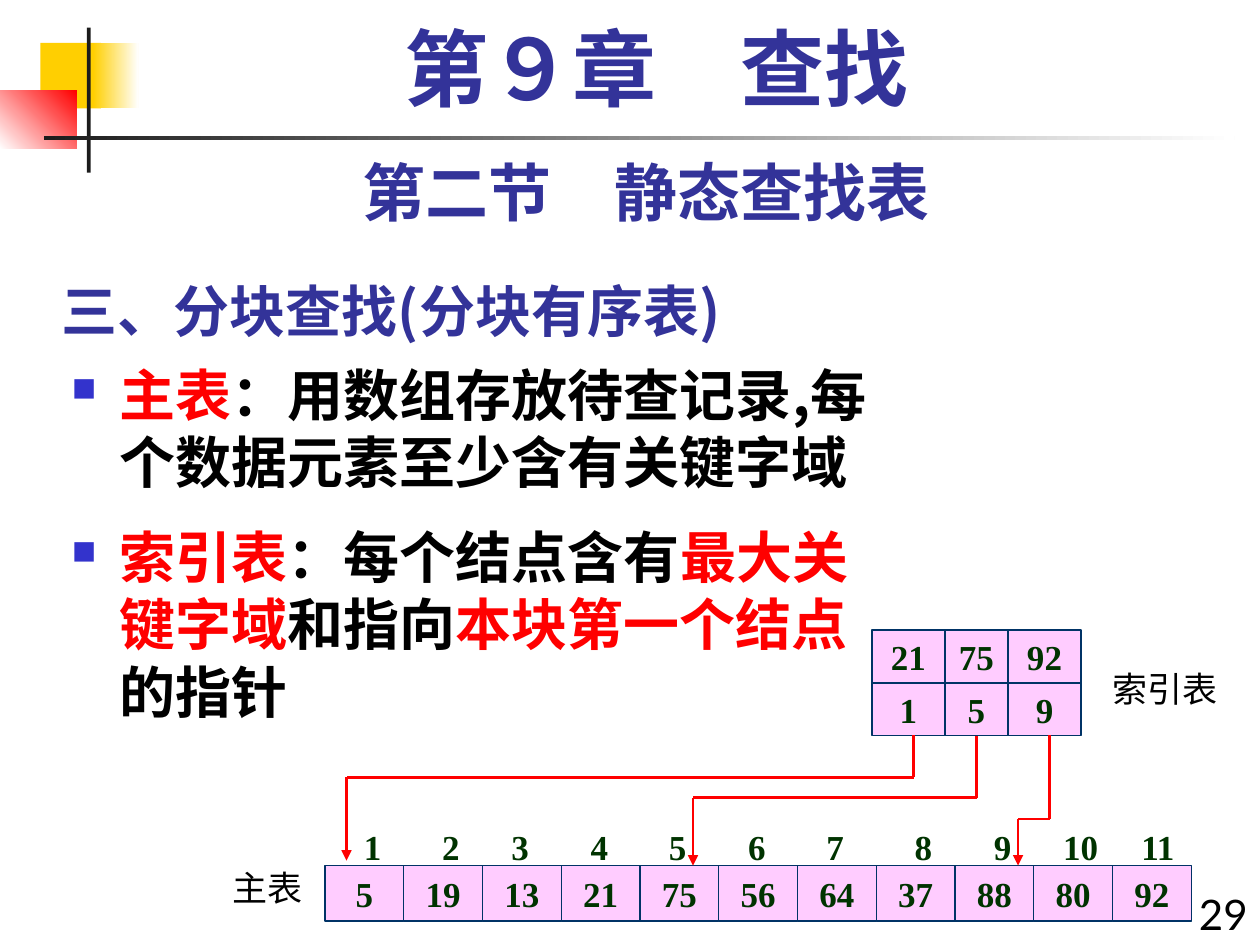
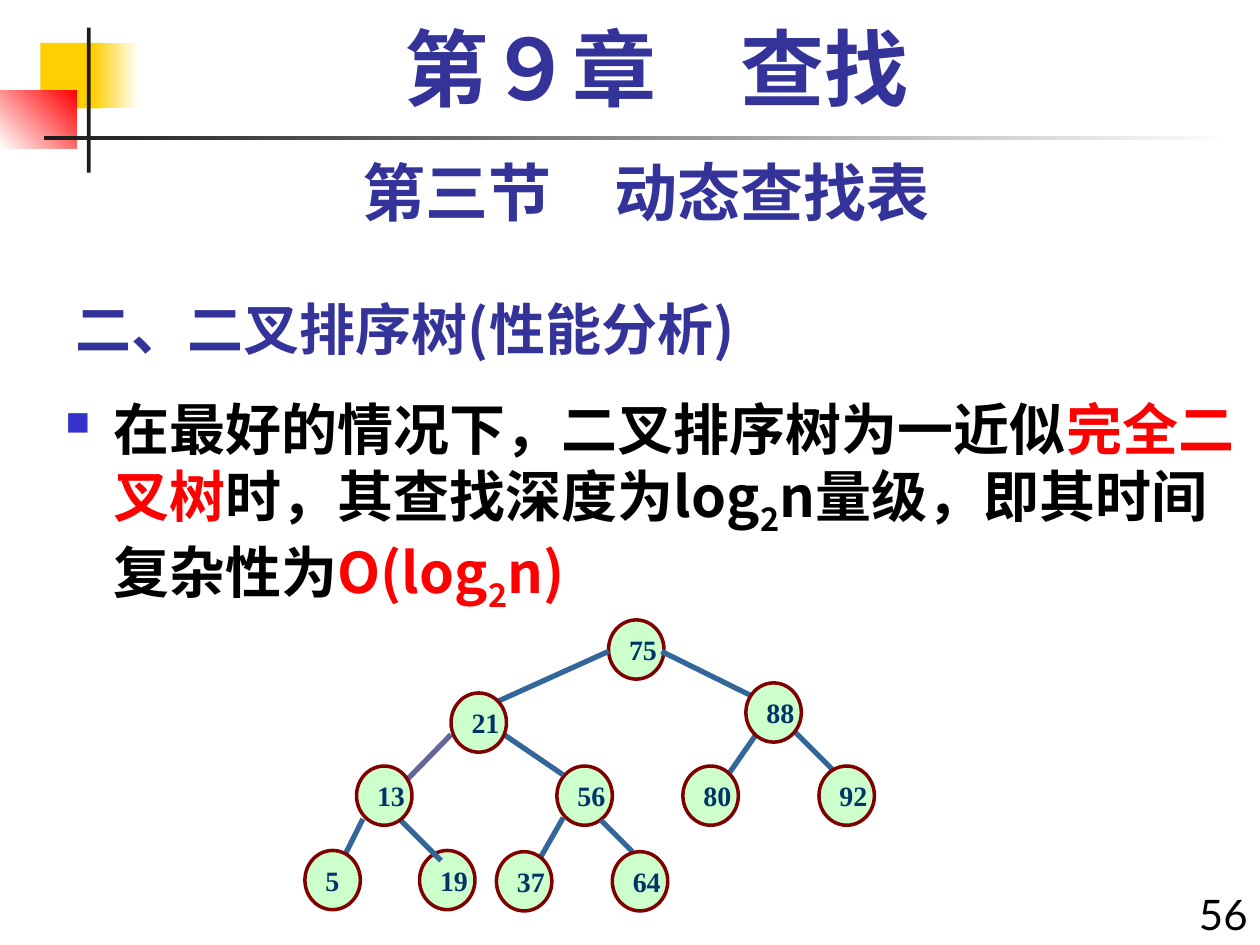
from lxml import etree
from pptx import Presentation, util as u
from pptx.dml.color import RGBColor
from pptx.enum import shapes, text
from pptx.oxml.ns import qn

COLORS = {
    "yellow": "FFCF01", "white": "FFFFFF", "red": "FF0000", "ink": "1C1C1C",
    "heading": "333399", "black": "000000", "bullet": "3333CC",
    "cell": "FFCCFF", "cell_line": "003366", "cell_text": "003300",
    "node": "CCFFCC", "node_line": "800000", "node_text": "003366",
    "branch": "336699", "branch_alt": "666699",
}
HEAVY, PLAIN, SERIF = "Noto Sans CJK SC", "Lato", "Times New Roman"
LEFT, CENTER, RIGHT = text.PP_ALIGN.LEFT, text.PP_ALIGN.CENTER, text.PP_ALIGN.RIGHT
RECT, OVAL = shapes.MSO_SHAPE.RECTANGLE, shapes.MSO_SHAPE.OVAL
TOP, MIDDLE, BOTTOM = text.MSO_ANCHOR.TOP, text.MSO_ANCHOR.MIDDLE, text.MSO_ANCHOR.BOTTOM


def rgb(name):
    return RGBColor.from_string(COLORS[name])


def add_xml(parent, tag, **attributes):
    return etree.SubElement(parent, qn(tag), **attributes)


class Lecture:
    """Slide style plus the page being drawn."""

    def __init__(self):
        self.deck = Presentation()
        self.deck.slide_width, self.deck.slide_height = u.Inches(10), u.Inches(7.5)
        self.page = None

    def new_page(self, section, heading, heading_at, number):
        self.page = self.deck.slides.add_slide(self.deck.slide_layouts[6])
        # Corner ornament and rule
        self.shape((0.32, 0.34, 0.48, 0.52), "yellow")
        self.gradient((0.74, 0.34, 0.36, 0.52), "yellow", "white")
        self.gradient((0, 0.72, 0.61, 0.46), "white", "red", 45)
        self.shape((0.69, 0.22, 0.03, 1.15), "ink")
        self.gradient((0.35, 1.08, 9.45, 0.03), "ink", "white")
        # Chapter, section, heading and page number
        self.text((*heading_at, 6.25, 0.75), heading, 32, HEAVY, "heading",
                  bold=True, anchor=BOTTOM)
        self.text((9.33, 7, 0.67, 0.5), number, 24, PLAIN, "black", RIGHT)
        self.text((0.5, 1.17, 9.25, 0.7), section, 36, PLAIN, "heading", CENTER, True)
        chapter = self.text((0.67, 0.17, 9.08, 0.83), "第９章\u3000查找".replace("\u3000", "　"),
                            48, SERIF, "heading", CENTER, True)
        chapter.text_frame.paragraphs[0].line_spacing = 0.9

    def shape(self, place, fill, kind=RECT, line=None, width=0.75):
        box = self.page.shapes.add_shape(kind, *map(u.Inches, place))
        box.shadow.inherit = False
        box.fill.solid()
        box.fill.fore_color.rgb = rgb(fill)
        if line:
            box.line.color.rgb = rgb(line)
            box.line.width = u.Pt(width)
        else:
            box.line.fill.background()
        return box

    def gradient(self, place, start, end, angle=0):
        box = self.shape(place, start)
        box.fill.gradient()
        box.fill.gradient_angle = angle
        for stop, color in zip(box.fill.gradient_stops, (start, end)):
            stop.color.rgb = rgb(color)

    def font(self, para, size, name, color, bold):
        para.font.size = u.Pt(size)
        para.font.name = name
        para.font.bold = bold
        para.font.color.rgb = rgb(color)
        latin = para.font._element.find(qn("a:latin"))
        latin.addnext(etree.Element(qn("a:ea"), typeface=HEAVY))

    def text(self, place, words, size, name, color, align=LEFT, bold=False,
             anchor=TOP, tabs=()):
        box = self.page.shapes.add_textbox(*map(u.Inches, place))
        box.text_frame.word_wrap = True
        box.text_frame.vertical_anchor = anchor
        para = box.text_frame.paragraphs[0]
        para.add_run().text = words[0] if tabs else words
        if tabs:
            stops = add_xml(para._p.get_or_add_pPr(), "a:tabLst")
            for stop in tabs:
                add_xml(stops, "a:tab", pos=str(u.Inches(stop)), algn="l")
            para.runs[0].text = "\t".join(words)
        para.alignment = align
        self.font(para, size, name, color, bold)
        return box

    def bullets(self, place, items, gap=0):
        """Each item is a list of spans: (words, colour, is subscript)."""
        box = self.page.shapes.add_textbox(*map(u.Inches, place))
        frame = box.text_frame
        frame.word_wrap = True
        for index, spans in enumerate(items):
            para = frame.add_paragraph() if index else frame.paragraphs[0]
            props = para._p.get_or_add_pPr()
            props.set("marL", str(u.Inches(0.38)))
            props.set("indent", str(u.Inches(-0.38)))
            add_xml(add_xml(props, "a:buClr"), "a:srgbClr", val=COLORS["bullet"])
            add_xml(props, "a:buSzPct", val="60000")
            add_xml(props, "a:buChar", char="■")
            self.font(para, 32, HEAVY, "black", True)
            if index:
                para.space_before = u.Pt(gap)
            for words, color, subscript in spans:
                span = para.add_run()
                span.text = words
                if color != "black":
                    span.font.color.rgb = rgb(color)
                if subscript:
                    span.font._element.set("baseline", "-25000")

    def label(self, box, words, size, color, align):
        frame = box.text_frame
        frame.word_wrap = False
        frame.vertical_anchor = MIDDLE
        para = frame.paragraphs[0]
        para.add_run().text = words
        para.alignment = align
        self.font(para, size, SERIF, color, True)

    def cell(self, place, words):
        box = self.shape(place, "cell", line="cell_line")
        self.label(box, words, 20, "cell_text", CENTER)
        return box

    def node(self, left, top, words):
        box = self.shape((left, top, 0.44, 0.47), "node", OVAL, "node_line", 2)
        self.label(box, words, 16, "node_text", LEFT)

    def line(self, start, end, color, width, arrow=False):
        link = self.page.shapes.add_connector(
            shapes.MSO_CONNECTOR.STRAIGHT, *map(u.Inches, (*start, *end)))
        link.line.color.rgb = rgb(color)
        link.line.width = u.Pt(width)
        if arrow:
            add_xml(link.line._get_or_add_ln(), "a:tailEnd", type="triangle")
        add_xml(link._element.spPr, "a:effectLst")
        return link


def block_search(lecture):
    lecture.new_page("第二节　静态查找表", "三、分块查找(分块有序表)", (0.39, 2.03), "29")
    lecture.bullets((0.47, 2.81, 6.67, 4.42), [
        [("主表", "red", False),
         ("：用数组存放待查记录,每个数据元素至少含有关键字域", "black", False)],
        [("索引表", "red", False), ("：每个结点含有", "black", False),
         ("最大关键字域", "red", False), ("和指向", "black", False),
         ("本块第一个结点", "red", False), ("的指针", "black", False)],
    ], gap=16)

    # Main table with its positions
    keys = [5, 19, 13, 21, 75, 56, 64, 37, 88, 80, 92]
    lecture.text((2.79, 6.5, 7, 0.43), [str(i + 1) for i in range(len(keys))],
                 20, SERIF, "cell_text", bold=True,
                 tabs=(0.62, 1.17, 1.8, 2.42, 3.05, 3.67, 4.37, 5, 5.55, 6.17))
    for index, key in enumerate(keys):
        lecture.cell((2.58 + 0.625 * index, 6.87, 0.625, 0.44), str(key))

    # Index table: largest key above, first position below
    pointers = []
    for left, width, largest, first in ((6.92, 0.58, "21", "1"), (7.5, 0.5, "75", "5"),
                                        (8, 0.58, "92", "9")):
        lecture.cell((left, 5, width, 0.42), largest)
        pointers.append(lecture.cell((left, 5.42, width, 0.42), first))

    # Pointers from the index to the start of each block
    for source, target, turn, tip in ((7.25, 2.75, 6.17, 6.83), (7.75, 5.5, 6.33, 6.87),
                                      (8.33, 8.08, 6.5, 6.87)):
        lecture.line((target, turn), (target, tip), "red", 1.5, arrow=True)
        lecture.line((source, turn), (target, turn), "red", 1.5)
        drop = lecture.line((source, turn), (source, 5.83), "red", 1.5)
        if source == 7.75:
            drop.end_connect(pointers[1], 2)

    lecture.text((1.75, 6.83, 0.83, 0.43), "主表", 20, PLAIN, "black")
    caption = lecture.text((8.75, 5.25, 1, 0.43), "索引表", 20, PLAIN, "black", CENTER)
    caption.text_frame.margin_left = caption.text_frame.margin_right = 0


def sort_tree(lecture):
    lecture.new_page("第三节　动态查找表", "二、二叉排序树(性能分析)", (0.5, 2.17), "56")
    lecture.bullets((0.42, 3.08, 9.58, 1.83), [[
        ("在最好的情况下，二叉排序树为一近似", "black", False),
        ("完全二叉树", "red", False), ("时，其查找深度为log", "black", False),
        ("2", "black", True), ("n量级，即其时间复杂性为", "black", False),
        ("O(log", "red", False), ("2", "red", True), ("n)", "red", False),
    ]])

    # Nodes that lie under the branches
    for node in ((4.83, 4.92, "75"), (4.42, 6.08, "56"), (3.33, 6.75, "19")):
        lecture.node(*node)

    # Branches
    lecture.line((3.58, 5.83), (3.17, 6.25), "branch_alt", 3)
    for start, end in (
        ((4.83, 5.17), (3.92, 5.58)), ((5.25, 5.17), (6.08, 5.58)),
        ((4, 5.83), (4.47, 6.15)), ((4.47, 6.49), (4.27, 6.84)),
        ((6.25, 5.75), (6.67, 6.17)), ((2.88, 6.5), (2.67, 6.92)),
        ((3.17, 6.5), (3.5, 6.83)), ((4.77, 6.51), (5.02, 6.76)),
        ((6, 5.83), (5.75, 6.19)),
    ):
        lecture.line(start, end, "branch", 3)

    # Nodes that cover the branch ends
    for node in ((4.86, 6.76, "64"), (2.42, 6.75, "5"), (3.94, 6.76, "37"),
                 (3.58, 5.5, "21"), (5.42, 6.08, "80"), (2.83, 6.08, "13"),
                 (5.92, 5.42, "88"), (6.5, 6.08, "92")):
        lecture.node(*node)


def main():
    lecture = Lecture()
    block_search(lecture)
    sort_tree(lecture)
    lecture.deck.save("out.pptx")


if __name__ == "__main__":
    main()
